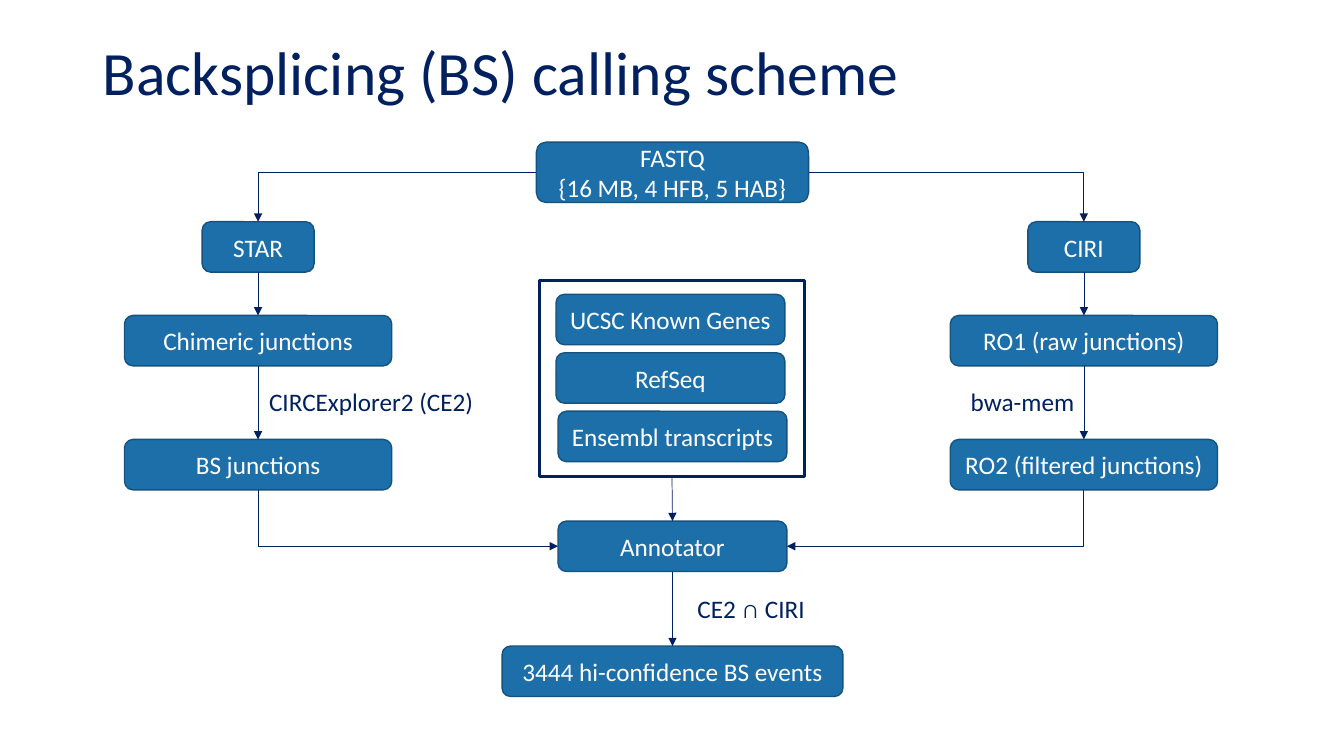
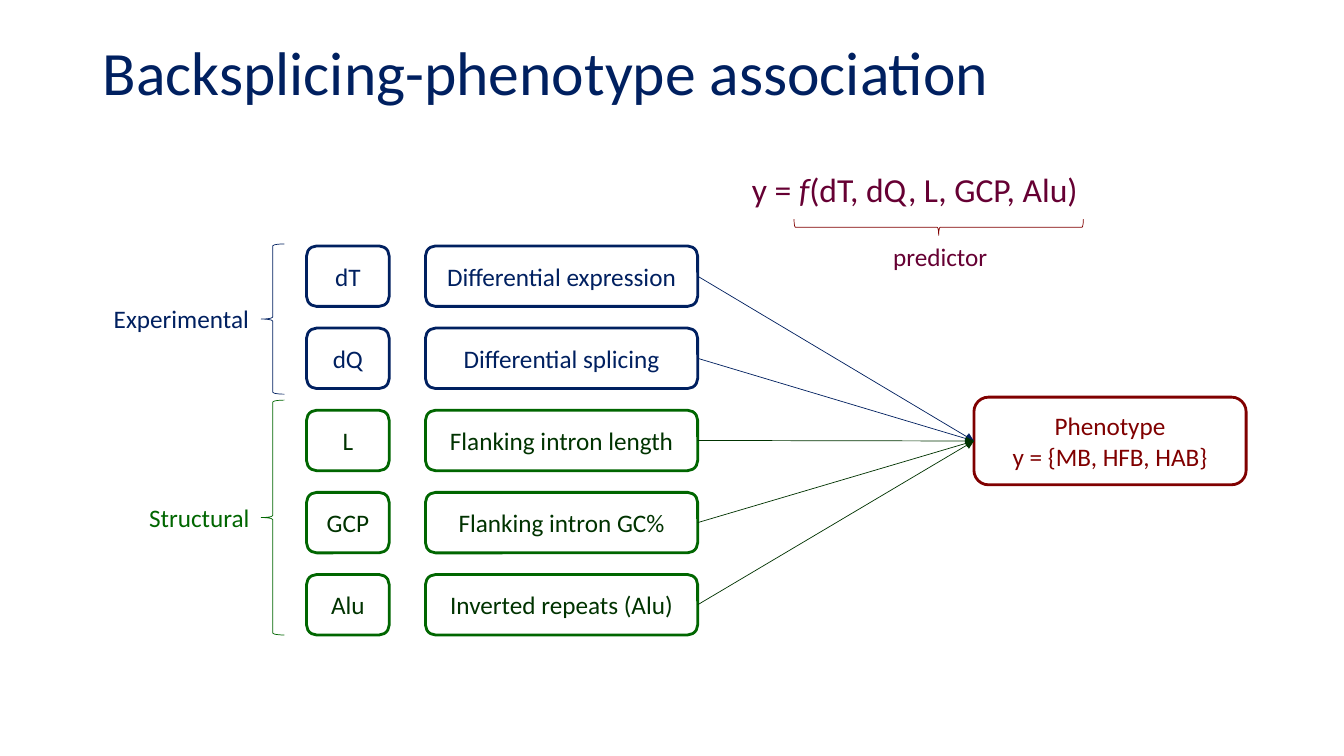
from dataclasses import dataclass

from lxml import etree
from pptx import Presentation
from pptx.dml.color import RGBColor
from pptx.enum import shapes as es, text as et
from pptx.oxml.ns import qn
from pptx.util import Inches, Pt

FONT = "Calibri"
NAVY = RGBColor(0x00, 0x20, 0x60)
BLUE = RGBColor(0x1D, 0x6F, 0xA9)
STEEL = RGBColor(0x15, 0x52, 0x7D)
WHITE = RGBColor(0xFF, 0xFF, 0xFF)
GREEN = RGBColor(0x00, 0x66, 0x00)
PINE = RGBColor(0x00, 0x33, 0x00)
RED = RGBColor(0x80, 0x00, 0x00)
PLUM = RGBColor(0x66, 0x00, 0x33)

KIND = es.MSO_SHAPE
LEFT, MID = et.PP_ALIGN.LEFT, et.PP_ALIGN.CENTER
TOP_SIDE, LEFT_SIDE, LOW_SIDE, RIGHT_SIDE = range(4)


@dataclass(frozen=True)
class Look:
    fill: RGBColor | None
    edge: RGBColor
    ink: RGBColor
    width: float


SOLID = Look(BLUE, STEEL, WHITE, 1)
OPEN_NAVY = Look(WHITE, NAVY, NAVY, 2)
OPEN_GREEN = Look(WHITE, GREEN, PINE, 2)
OPEN_RED = Look(WHITE, RED, RED, 2)


@dataclass(frozen=True)
class Node:
    """A rounded box, placed by its centre line and top."""
    mid: float
    top: float
    wide: float
    lines: tuple[str, ...]
    high: float = 0.5
    look: Look = SOLID


@dataclass(frozen=True)
class Label:
    left: float
    top: float
    wide: float
    runs: tuple[str, ...]
    ink: RGBColor = NAVY
    size: int = 18
    align: et.PP_ALIGN = LEFT
    slant: str = ""


@dataclass(frozen=True)
class Brace:
    kind: es.MSO_SHAPE
    left: float
    top: float
    wide: float
    high: float
    ink: RGBColor
    turn: int = 0


@dataclass(frozen=True)
class Trait:
    code: str
    name: str
    look: Look


def add_run(para, words: str, size: int, ink: RGBColor):
    run = para.add_run()
    run.text = words
    font = run.font
    font.name, font.size, font.color.rgb = FONT, Pt(size), ink
    return run


def add_slide(deck, title: str):
    slide = deck.slides.add_slide(deck.slide_layouts[5])
    head = slide.shapes.title
    head.left, head.top = Inches(0.92), Inches(0.36)
    head.width, head.height = Inches(11.5), Inches(0.77)
    head.text_frame.vertical_anchor = et.MSO_ANCHOR.MIDDLE
    para = head.text_frame.paragraphs[0]
    para.alignment, para.line_spacing = LEFT, 0.9
    add_run(para, title, 44, NAVY)
    return slide


def add_form(slide, kind, left: float, top: float, wide: float, high: float, look: Look):
    form = slide.shapes.add_shape(kind, *map(Inches, (left, top, wide, high)))
    form.shadow.inherit = False
    if look.fill is None:
        form.fill.background()
    else:
        form.fill.solid()
        form.fill.fore_color.rgb = look.fill
    form.line.color.rgb = look.edge
    form.line.width = Pt(look.width)
    return form


def add_node(slide, node: Node):
    form = add_form(slide, KIND.ROUNDED_RECTANGLE, node.mid - node.wide / 2,
                    node.top, node.wide, node.high, node.look)
    frame = form.text_frame
    frame.word_wrap = True
    frame.vertical_anchor = et.MSO_ANCHOR.MIDDLE
    for i, line in enumerate(node.lines):
        para = frame.add_paragraph() if i else frame.paragraphs[0]
        para.alignment = MID
        add_run(para, line, 18, node.look.ink)
    return form


def add_label(slide, label: Label) -> None:
    high = 0.5 if label.size > 18 else 0.4
    box = slide.shapes.add_textbox(
        *map(Inches, (label.left, label.top, label.wide, high)))
    frame = box.text_frame
    frame.word_wrap = label.align == MID
    frame.auto_size = et.MSO_AUTO_SIZE.SHAPE_TO_FIT_TEXT
    para = frame.paragraphs[0]
    para.alignment = label.align
    for words in label.runs:
        run = add_run(para, words, label.size, label.ink)
        if words == label.slant:
            run.font.italic = True


def add_brace(slide, brace: Brace) -> None:
    form = add_form(slide, brace.kind, brace.left, brace.top, brace.wide,
                    brace.high, Look(None, brace.ink, brace.ink, 0.5))
    form.rotation = brace.turn


def add_wire(slide, start, out: int, stop, into: int, ink: RGBColor = NAVY,
             bent: bool = False, tip: str = "tailEnd") -> None:
    """Join two sides; a bent wire runs level first, then upright."""
    kind = es.MSO_CONNECTOR.ELBOW if bent else es.MSO_CONNECTOR.STRAIGHT
    wire = slide.shapes.add_connector(kind, 0, 0, 0, 0)
    wire.begin_connect(start, out)
    wire.end_connect(stop, into)
    wire.line.color.rgb = ink
    wire.line.width = Pt(0.5)
    props = wire._element.spPr
    if bent:
        props.find(qn("a:prstGeom")).set("prst", "bentConnector2")
    etree.SubElement(props.find(qn("a:ln")), qn(f"a:{tip}"), type="triangle")
    etree.SubElement(props, qn("a:effectLst"))


def draw_scheme(deck) -> None:
    slide = add_slide(deck, "Backsplicing (BS) calling scheme")
    west, core, east = 2.56, 6.67, 10.75
    rows = (2.2, 3.13, 4.36)
    frame = add_form(slide, KIND.RECTANGLE, 5.35, 2.78, 2.63, 1.95, OPEN_NAVY)
    source = add_node(slide, Node(core, 1.41, 2.7,
                                  ("FASTQ", "{16 MB, 4 HFB, 5 HAB}"), 0.6))
    merge = add_node(slide, Node(core, 5.17, 2.27, ("Annotator",)))
    final = add_node(slide, Node(core, 6.41, 3.38, ("3444 hi-confidence BS events",)))
    for mid, top, name in ((6.65, 2.92, "UCSC Known Genes"),
                           (6.65, 3.5, "RefSeq"),
                           (core, 4.08, "Ensembl transcripts")):
        add_node(slide, Node(mid, top, 2.27, (name,)))

    lanes = (
        (west, LEFT_SIDE, ("STAR", "Chimeric junctions", "BS junctions")),
        (east, RIGHT_SIDE, ("CIRI", "RO1 (raw junctions)", "RO2 (filtered junctions)")),
    )
    for mid, side, names in lanes:
        tool, raw, calls = (
            add_node(slide, Node(mid, top, wide, (name,)))
            for top, wide, name in zip(rows, (1.11, 2.65, 2.65), names))
        add_wire(slide, source, side, tool, TOP_SIDE, bent=True)
        add_wire(slide, tool, LOW_SIDE, raw, TOP_SIDE)
        add_wire(slide, raw, LOW_SIDE, calls, TOP_SIDE)
        add_wire(slide, merge, side, calls, LOW_SIDE, bent=True, tip="headEnd")
    add_wire(slide, frame, LOW_SIDE, merge, TOP_SIDE)
    add_wire(slide, merge, LOW_SIDE, final, TOP_SIDE)

    for label in (Label(2.57, 3.78, 2.25, ("CIRCExplorer2 (CE2)",)),
                  Label(9.53, 3.78, 1.24, ("bwa-mem",)),
                  Label(6.68, 5.84, 1.54, ("CE2 ∩ CIRI",), align=MID)):
        add_label(slide, label)


def draw_model(deck) -> None:
    slide = add_slide(deck, "Backsplicing-phenotype association")
    goal = add_node(slide, Node(11.01, 3.94, 2.7, ("Phenotype", "y = {MB, HFB, HAB}"),
                                0.87, OPEN_RED))
    traits = (
        Trait("dT", "Differential expression", OPEN_NAVY),
        Trait("dQ", "Differential splicing", OPEN_NAVY),
        Trait("L", "Flanking intron length", OPEN_GREEN),
        Trait("GCP", "Flanking intron GC%", OPEN_GREEN),
        Trait("Alu", "Inverted repeats (Alu)", OPEN_GREEN),
    )
    first, step = 2.44, 0.815
    for i, trait in enumerate(traits):
        top = first + i * step
        add_node(slide, Node(3.45, top, 0.82, (trait.code,), 0.6, trait.look))
        name = add_node(slide, Node(5.57, top, 2.7, (trait.name,), 0.6, trait.look))
        add_wire(slide, name, RIGHT_SIDE, goal, LEFT_SIDE, trait.look.ink)

    for brace in (Brace(KIND.LEFT_BRACE, 2.59, 2.42, 0.23, 1.49, NAVY),
                  Brace(KIND.LEFT_BRACE, 2.59, 3.97, 0.23, 2.33, GREEN),
                  Brace(KIND.RIGHT_BRACE, 9.23, 0.82, 0.16, 2.87, RED, 90)):
        add_brace(slide, brace)
    for label in (Label(1.03, 2.96, 1.56, ("Experimental",)),
                  Label(1.38, 4.93, 1.21, ("Structural",), GREEN),
                  Label(7.36, 1.63, 3.46, ("y = ", "f", "(dT, dQ, L, GCP, Alu)"),
                        PLUM, 24, slant="f"),
                  Label(8.76, 2.34, 1.15, ("predictor",), PLUM)):
        add_label(slide, label)


def main() -> None:
    deck = Presentation()
    deck.slide_width, deck.slide_height = Inches(13.33), Inches(7.5)
    draw_scheme(deck)
    draw_model(deck)
    deck.save("out.pptx")


if __name__ == "__main__":
    main()
